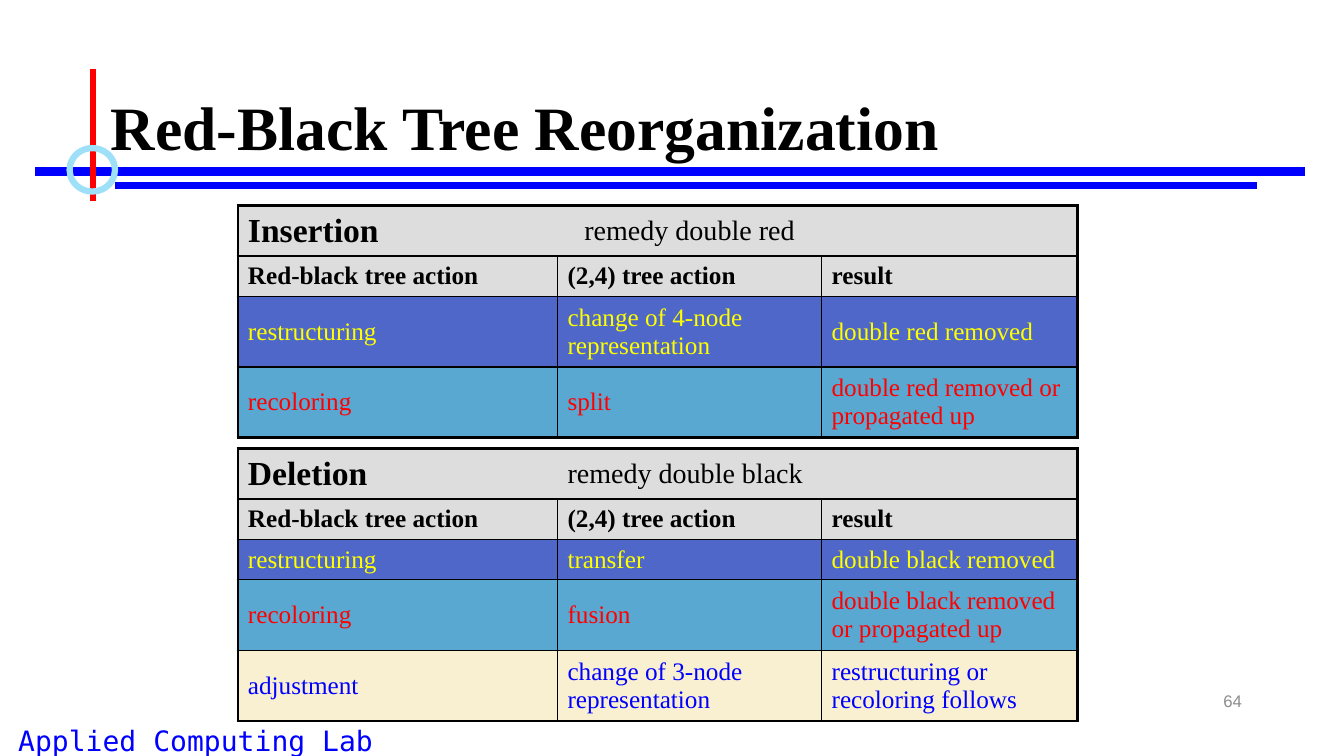
"""Build the slide on red-black tree reorganization with its two action tables."""
from lxml.etree import SubElement
from pptx import Presentation
from pptx.dml.color import RGBColor
from pptx.enum.shapes import MSO_CONNECTOR as Connector, MSO_SHAPE as Preset
from pptx.enum.text import MSO_ANCHOR as Anchor, PP_ALIGN as Align
from pptx.oxml.ns import qn
from pptx.util import Inches, Pt

BLACK = RGBColor(0x00, 0x00, 0x00)
BLUE = RGBColor(0x00, 0x00, 0xFF)
RED = RGBColor(0xFF, 0x00, 0x00)
YELLOW = RGBColor(0xFF, 0xFF, 0x00)
SKY = RGBColor(0x9E, 0xE0, 0xF8)
GREY = RGBColor(0x8C, 0x8C, 0x8C)
SILVER = RGBColor(0xDD, 0xDD, 0xDD)
INDIGO = RGBColor(0x4E, 0x67, 0xC8)
TEAL = RGBColor(0x59, 0xA8, 0xD1)
CREAM = RGBColor(0xF8, 0xF0, 0xD0)
SERIF = "Times New Roman"

presentation = Presentation()
presentation.slide_width, presentation.slide_height = Inches(13.33), Inches(7.5)
slide = presentation.slides.add_slide(presentation.slide_layouts[6])
column = presentation.slide_width / 100
row = presentation.slide_height / 100


def place(left, top, width, height):
    """Turn percentages of the slide into lengths."""
    return [int(left * column), int(top * row), int(width * column), int(height * row)]


def write(frame, text, align, **font_format):
    """Put one formatted line of text into a frame."""
    paragraph = frame.paragraphs[0]
    paragraph.alignment = align
    run = paragraph.add_run()
    run.text = text
    run.font.color.rgb = font_format.pop("color")
    for name, value in font_format.items():
        setattr(run.font, name, value)
    return paragraph


rules = [
    ((2.63, 22.67, 97.13, 22.67), BLUE, 6),
    ((8.55, 24.53, 93.53, 24.53), BLUE, 4.5),
    ((6.9, 9.07, 6.9, 26.53), RED, 4.5),
]
for ends, color, weight in rules:
    rule = slide.shapes.add_connector(Connector.STRAIGHT, *place(*ends))
    rule.line.color.rgb = color
    rule.line.width = Pt(weight)
    SubElement(rule._element.spPr, qn("a:effectLst"))

ring = slide.shapes.add_shape(Preset.OVAL, *place(5.18, 19.6, 3.38, 5.73))
ring.shadow.inherit = False
ring.fill.background()
ring.line.color.rgb = SKY
ring.line.width = Pt(4.5)

labels = [
    ("Applied Computing Lab", (0, 95.07, 29.1, 4.93), Anchor.TOP, Align.CENTER, 1,
     {"name": "DejaVu Sans Mono", "size": Pt(20), "color": BLUE}),
    ("64", (70.65, 90, 22.5, 5.33), Anchor.MIDDLE, Align.RIGHT, 1,
     {"name": "Arial", "size": Pt(12), "color": GREY}),
    ("Red-Black Tree Reorganization", (7.5, 8.93, 85, 16.67), Anchor.MIDDLE, Align.LEFT, 0.9,
     {"name": SERIF, "size": Pt(44), "bold": True, "color": BLACK}),
]
for text, area, anchor, align, spacing, font_format in labels:
    frame = slide.shapes.add_textbox(*place(*area)).text_frame
    frame.word_wrap = True
    frame.vertical_anchor = anchor
    write(frame, text, align, **font_format).line_spacing = spacing

COLUMN_SHARES = (23.78, 19.65, 19.05)
TITLE_ROW, ONE_LINE, TWO_LINES = 6.27, 5.07, 8.67
HEADINGS = ("Red-black tree action", "(2,4) tree action", "result")
ROW_COLORS = [(SILVER, BLACK), (SILVER, BLACK), (INDIGO, YELLOW), (TEAL, RED), (CREAM, BLUE)]
tables = [
    (27.2, Align.CENTER, [
        (TITLE_ROW, ("Insertion", "remedy double red", "")),
        (ONE_LINE, HEADINGS),
        (TWO_LINES, ("restructuring", "change of 4-node representation", "double red removed")),
        (TWO_LINES, ("recoloring", "split", "double red removed or propagated up")),
    ]),
    (59.33, Align.LEFT, [
        (TITLE_ROW, ("Deletion", "remedy double black", "")),
        (ONE_LINE, HEADINGS),
        (ONE_LINE, ("restructuring", "transfer", "double black removed")),
        (TWO_LINES, ("recoloring", "fusion", "double black removed or propagated up")),
        (TWO_LINES, ("adjustment", "change of 3-node representation",
                     "restructuring or recoloring follows")),
    ]),
]
for top, remedy_align, rows in tables:
    area = place(17.7, top, sum(COLUMN_SHARES), sum(share for share, _ in rows))
    table = slide.shapes.add_table(len(rows), len(COLUMN_SHARES), *area).table
    table.first_row = table.horz_banding = False
    for index, share in enumerate(COLUMN_SHARES):
        table.columns[index].width = int(share * column)
    for r, ((share, texts), (fill, color)) in enumerate(zip(rows, ROW_COLORS)):
        table.rows[r].height = int(share * row)
        for c, text in enumerate(texts):
            cell = table.cell(r, c)
            cell.vertical_anchor = Anchor.MIDDLE
            outer = {"lnL": c == 0, "lnR": c == 2, "lnT": r == 0, "lnB": r == len(rows) - 1}
            for side, is_outer in outer.items():
                border = SubElement(cell._tc.get_or_add_tcPr(), qn(f"a:{side}"))
                border.set("w", str(Pt(2.25 if is_outer else 1)))
                if r == 0 and side in ("lnL", "lnR") and not is_outer:
                    SubElement(border, qn("a:noFill"))
                else:
                    solid = SubElement(border, qn("a:solidFill"))
                    SubElement(solid, qn("a:srgbClr")).set("val", str(BLACK))
            cell.fill.solid()
            cell.fill.fore_color.rgb = fill
            if text:
                size = (24, 20)[c] if r == 0 else 18
                align = remedy_align if (r, c) == (0, 1) else Align.LEFT
                write(cell.text_frame, text, align, name=SERIF, size=Pt(size),
                      bold=r == 1 or (r, c) == (0, 0), color=color)

presentation.save("out.pptx")
